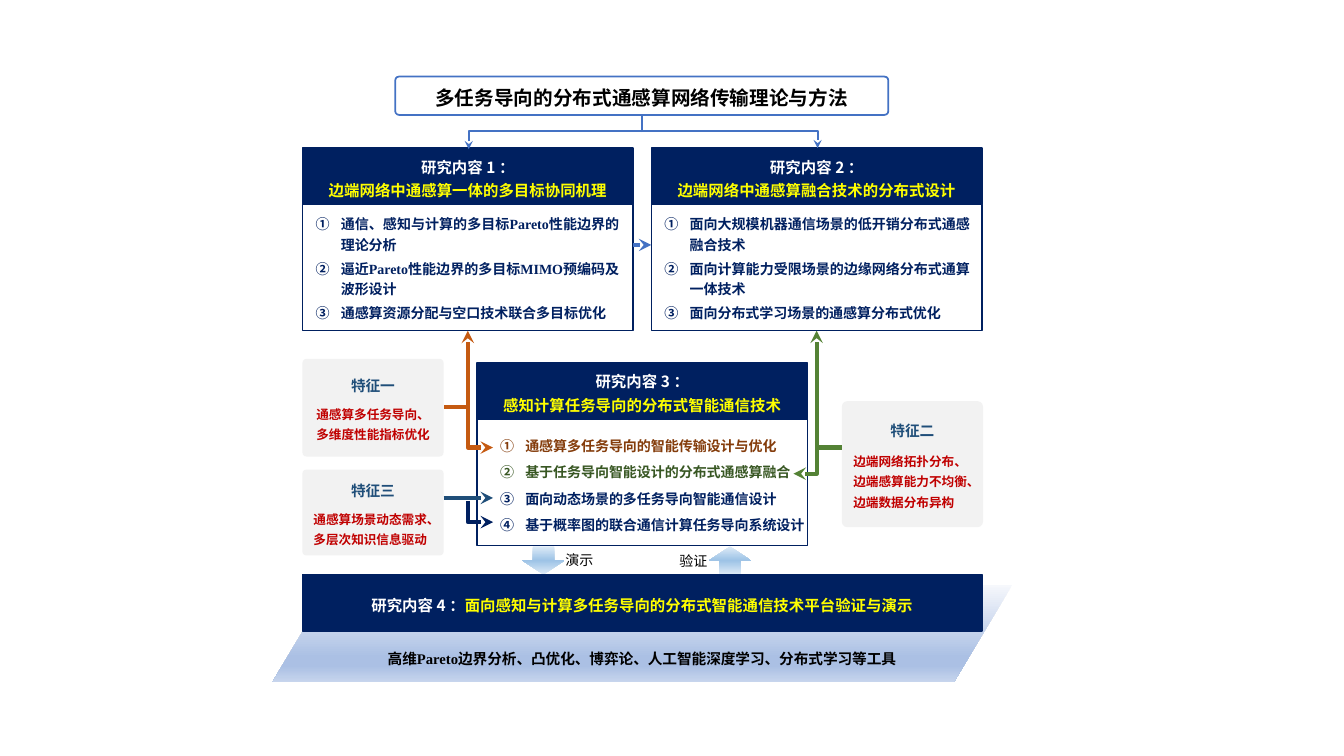
from lxml import etree
from pptx import Presentation
from pptx.dml.color import RGBColor
from pptx.enum.shapes import MSO_CONNECTOR, MSO_SHAPE
from pptx.enum.text import MSO_ANCHOR, PP_ALIGN
from pptx.oxml.ns import qn
from pptx.util import Inches, Pt

RECT, ROUND = MSO_SHAPE.RECTANGLE, MSO_SHAPE.ROUNDED_RECTANGLE
SLANT, DOWN = MSO_SHAPE.PARALLELOGRAM, MSO_SHAPE.DOWN_ARROW
LINE, ELBOW = MSO_CONNECTOR.STRAIGHT, MSO_CONNECTOR.ELBOW
MID, LOW, TOP = MSO_ANCHOR.MIDDLE, MSO_ANCHOR.BOTTOM, MSO_ANCHOR.TOP
LEFT, CENTER, FULL = PP_ALIGN.LEFT, PP_ALIGN.CENTER, PP_ALIGN.JUSTIFY

NAVY = RGBColor(0x00, 0x20, 0x60)
BLUE = RGBColor(0x44, 0x72, 0xC4)
TEAL = RGBColor(0x1F, 0x4E, 0x79)
ORANGE = RGBColor(0xC5, 0x5A, 0x11)
BROWN = RGBColor(0x84, 0x3C, 0x0B)
GREEN = RGBColor(0x54, 0x82, 0x35)
FOREST = RGBColor(0x38, 0x57, 0x23)
RED = RGBColor(0xC0, 0x00, 0x00)
YELLOW = RGBColor(0xFF, 0xFF, 0x00)
GRAY = RGBColor(0xF2, 0xF2, 0xF2)
WHITE = RGBColor(0xFF, 0xFF, 0xFF)
BLACK = RGBColor(0x00, 0x00, 0x00)
HAZE = RGBColor(0xF6, 0xF8, 0xFC)
MIST = RGBColor(0xAB, 0xC0, 0xE4)
PALE = RGBColor(0xC7, 0xD5, 0xED)
ICE = RGBColor(0xDE, 0xEB, 0xF7)
SKY = RGBColor(0x9D, 0xC3, 0xE6)

SANS, SERIF = "Noto Sans CJK SC", "Times New Roman"


class Board:
    def __init__(self, slide):
        self.slide = slide
        self.shapes = slide.shapes

    def box(self, kind, area, fill=None, line=None, width=1, adj=None):
        shape = self.shapes.add_shape(kind, *map(Inches, area))
        shape.shadow.inherit = False
        if adj is not None:
            shape.adjustments[0] = adj
        if fill is None:
            shape.fill.background()
        else:
            shape.fill.solid()
            shape.fill.fore_color.rgb = fill
        if line is None:
            shape.line.fill.background()
        else:
            shape.line.color.rgb = line
            shape.line.width = Pt(width)
        return shape

    def blend(self, shape, stops, angle):
        shape.fill.gradient()
        grad = shape._element.spPr.find(qn("a:gradFill"))
        for child in list(grad):
            grad.remove(child)
        bag = etree.SubElement(grad, qn("a:gsLst"))
        for pos, color in stops:
            stop = etree.SubElement(bag, qn("a:gs"), pos=str(pos * 1000))
            etree.SubElement(stop, qn("a:srgbClr"), val=str(color))
        etree.SubElement(grad, qn("a:lin"), ang=str(angle * 60000), scaled="0")

    def text(self, area):
        return self.shapes.add_textbox(*map(Inches, area))

    def label(self, shape, paras, anchor=MID, sides=0.1, base=0.05):
        """Each paragraph is (runs, options); a run is (text, size, color, font, bold)."""
        frame = shape.text_frame
        frame.word_wrap = True
        frame.vertical_anchor = anchor
        frame.margin_left = frame.margin_right = Inches(sides)
        frame.margin_top, frame.margin_bottom = Inches(0.05), Inches(base)
        for i, (runs, opts) in enumerate(paras):
            para = frame.add_paragraph() if i else frame.paragraphs[0]
            self.para(para, runs, **opts)

    def para(self, para, runs, align=CENTER, space=1.0, before=0, after=0, mark=False):
        para.alignment = align
        para.line_spacing = space
        para.space_before, para.space_after = Pt(before), Pt(after)
        if mark:
            props = para._p.get_or_add_pPr()
            props.set("marL", str(Inches(0.25)))
            props.set("indent", str(-Inches(0.25)))
            etree.SubElement(props, qn("a:buAutoNum"), type="circleNumDbPlain")
        for text, size, color, face, bold in runs:
            run = para.add_run()
            run.text = text
            font = run.font
            font.size, font.bold, font.name = Pt(size), bold, face
            font.color.rgb = color
            etree.SubElement(run._r.get_or_add_rPr(), qn("a:ea"), typeface=SANS)

    def link(self, kind, start, end, color, width, tips):
        wire = self.shapes.add_connector(kind, *map(Inches, start + end))
        wire.line.color.rgb = color
        wire.line.width = Pt(width)
        props = wire._element.spPr
        for tip in tips:
            etree.SubElement(props.find(qn("a:ln")), qn(f"a:{tip}End"), type="stealth")
        etree.SubElement(props, qn("a:effectLst"))
        return wire

    def line(self, start, end, color, width=3, tips=()):
        self.link(LINE, start, end, color, width, tips)

    def bend(self, start, end, color, width=3, tips=("head", "tail"), turn=True, adj=0):
        """An elbow; with turn it is laid out sideways and rotated by 90 degrees."""
        (x1, y1), (x2, y2) = start, end
        if turn:
            cx, cy = (x1 + x2) / 2, (y1 + y2) / 2
            dx, dy = (y2 - y1) / 2, (x1 - x2) / 2
            start, end = (cx - dx, cy - dy), (cx + dx, cy + dy)
        wire = self.link(ELBOW, start, end, color, width, tips)
        props = wire._element.spPr
        if turn:
            props.find(qn("a:xfrm")).set("rot", str(90 * 60000))
        geom = props.find(qn("a:prstGeom"))
        guides = geom.find(qn("a:avLst"))
        if guides is None:
            guides = etree.SubElement(geom, qn("a:avLst"))
        etree.SubElement(guides, qn("a:gd"), name="adj1", fmla=f"val {adj * 100000}")

    def topic(self, x, y, num, name, body, items, space=1.2):
        head = self.box(RECT, (x, y, 3.28, 0.56), NAVY, NAVY)
        opts = dict(space=1.25)
        self.label(head, [([(f"研究内容 {num} ：", 11, WHITE, SANS, True)], opts),
                          ([(name, 11, YELLOW, SANS, True)], opts)])
        self.box(RECT, (x, y + 0.56, 3.28, 1.25), None, NAVY)
        paras = [([(item, 10, color, SERIF, True)],
                  dict(align=FULL, space=space, before=3 if i else 0, mark=True))
                 for i, (item, color) in enumerate(items)]
        self.label(self.text(body), paras, sides=0.04)

    def trait(self, area, name, rows, align=LEFT, space=1.3):
        card = self.box(ROUND, area, GRAY, adj=0.043)
        paras = [([(name, 10.5, TEAL, SANS, True)], dict(space=1.2, after=6))]
        paras += [([(row, 9, RED, SANS, True)], dict(align=align, space=space)) for row in rows]
        self.label(card, paras)


def main():
    deck = Presentation()
    deck.slide_width, deck.slide_height = Inches(13.33), Inches(7.5)
    board = Board(deck.slides.add_slide(deck.slide_layouts[6]))

    # Tool base
    base = board.box(SLANT, (2.7, 5.8, 7.34, 0.97), adj=0.598)
    board.blend(base, [(0, HAZE), (74, MIST), (83, MIST), (100, PALE)], 90)
    tools = "高维Pareto边界分析、凸优化、博弈论、人工智能深度学习、分布式学习等工具"
    board.label(base, [([(tools, 10.5, BLACK, SERIF, True)], {})], anchor=LOW, base=0.04)

    # Block arrows and their labels
    for x, turn, word, left, top in ((5.18, 0, "演示", 5.51, 5.42), (7.03, 180, "验证", 6.64, 5.43)):
        arrow = board.box(DOWN, (x, 5.42, 0.42, 0.28))
        arrow.rotation = turn
        board.blend(arrow, [(0, ICE), (50, SKY), (100, ICE)], 270)
        board.label(board.text((left, top, 0.51, 0.27)),
                    [([(word, 10, BLACK, SANS, False)], dict(align=LEFT))], anchor=TOP)

    # Title
    title = board.box(ROUND, (3.92, 0.76, 4.89, 0.38), WHITE, BLUE, 1.25, 0.099)
    board.label(title, [([("多任务导向的分布式通感算网络传输理论与方法", 14, BLACK, SANS, True)],
                         dict(space=1.2))])

    # Research topics
    board.topic(3, 1.47, 1, "边端网络中通感算一体的多目标协同机理", (3.09, 2.06, 3.09, 1.18),
                [("通信、感知与计算的多目标Pareto性能边界的理论分析", NAVY),
                 ("逼近Pareto性能边界的多目标MIMO预编码及波形设计", NAVY),
                 ("通感算资源分配与空口技术联合多目标优化", NAVY)])
    board.topic(6.46, 1.47, 2, "边端网络中通感算融合技术的分布式设计", (6.55, 2.06, 3.11, 1.18),
                [("面向大规模机器通信场景的低开销分布式通感融合技术", NAVY),
                 ("面向计算能力受限场景的边缘网络分布式通算一体技术", NAVY),
                 ("面向分布式学习场景的通感算分布式优化", NAVY)])
    board.topic(4.73, 3.6, 3, "感知计算任务导向的分布式智能通信技术", (4.92, 4.25, 3.13, 1.08),
                [("通感算多任务导向的智能传输设计与优化", BROWN),
                 ("基于任务导向智能设计的分布式通感算融合", FOREST),
                 ("面向动态场景的多任务导向智能通信设计", NAVY),
                 ("基于概率图的联合通信计算任务导向系统设计", NAVY)], space=1.3)
    demo = board.box(RECT, (3, 5.7, 6.74, 0.56), NAVY, NAVY)
    board.label(demo, [([("研究内容 4 ：", 11, WHITE, SANS, True),
                         ("面向感知与计算多任务导向的分布式智能通信技术平台验证与演示",
                          11, YELLOW, SANS, True)], dict(space=1.25))])

    # Traits
    board.trait((3, 3.56, 1.4, 0.97), "特征一",
                ["通感算多任务导向、", "多维度性能指标优化"], CENTER)
    board.trait((8.35, 3.98, 1.4, 1.25), "特征二",
                ["边端网络拓扑分布、边端感算能力不均衡、", "边端数据分布异构"], space=1.35)
    board.trait((3, 4.66, 1.4, 0.85), "特征三",
                ["通感算场景动态需求、", "多层次知识信息驱动"])

    # Links from the title and between topics
    board.bend((4.65, 1.48), (8.11, 1.47), BLUE, 1.25, adj=18)
    board.line((6.37, 1.31), (6.37, 1.14), BLUE, 1.25)
    board.line((6.28, 2.43), (6.46, 2.43), BLUE, tips=("tail",))

    # Links from the traits
    board.bend((4.89, 4.44), (4.64, 3.28), ORANGE)
    board.bend((7.87, 4.7), (8.1, 3.28), GREEN)
    board.line((4.63, 4.04), (4.4, 4.04), ORANGE)
    board.line((8.35, 4.44), (8.12, 4.44), GREEN)
    board.line((4.4, 4.94), (4.89, 4.94), TEAL, tips=("tail",))
    board.bend((4.64, 4.97), (4.89, 5.18), NAVY, tips=("tail",), turn=False)

    deck.save("out.pptx")


if __name__ == "__main__":
    main()
